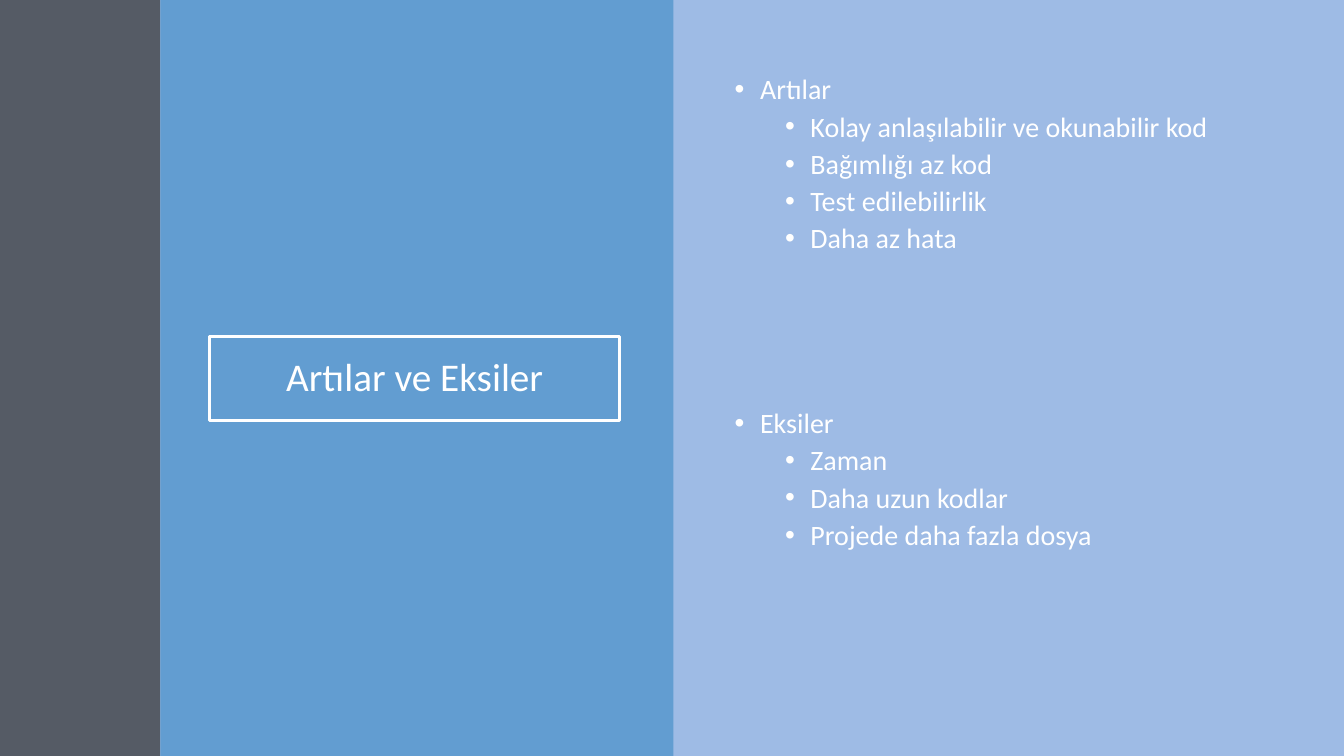
from dataclasses import dataclass

from lxml import etree
from pptx import Presentation
from pptx import util as u
from pptx.dml.color import RGBColor
from pptx.enum import shapes, text
from pptx.oxml.ns import qn

COLOURS = {
    "background": "ACCBF9",
    "shade": "000000",
    "title_panel": "629DD1",
    "sidebar": "404040",
    "text": "FFFFFF",
}
FONT = "Calibri"
SLIDE_WIDTH, SLIDE_HEIGHT = 33.87, 19.05
SIDEBAR_WIDTH, TITLE_PANEL_RIGHT = 4.04, 16.97


@dataclass
class Panel:
    left: float
    right: float
    colour: str
    opacity: int = 100


@dataclass
class Topic:
    top: float
    heading: str
    points: list[str]


PANELS = [
    Panel(SLIDE_WIDTH / 2, SLIDE_WIDTH, "shade", 8),
    Panel(SIDEBAR_WIDTH, TITLE_PANEL_RIGHT, "title_panel"),
    Panel(0, SIDEBAR_WIDTH, "sidebar", 80),
]
TOPICS = [
    Topic(1.78, "Artılar", ["Kolay anlaşılabilir ve okunabilir kod", "Bağımlığı az kod",
                            "Test edilebilirlik", "Daha az hata"]),
    Topic(10.19, "Eksiler", ["Zaman", "Daha uzun kodlar", "Projede daha fazla dosya"]),
]


def rgb(name: str) -> RGBColor:
    return RGBColor.from_string(COLOURS[name])


def draw_panel(slide, panel: Panel) -> None:
    band = slide.shapes.add_shape(
        shapes.MSO_SHAPE.RECTANGLE, u.Cm(panel.left), 0,
        u.Cm(panel.right - panel.left), u.Cm(SLIDE_HEIGHT))
    band.shadow.inherit = False
    band.line.fill.background()
    band.fill.solid()
    band.fill.fore_color.rgb = rgb(panel.colour)
    if panel.opacity < 100:
        colour = band.element.spPr.find(".//" + qn("a:srgbClr"))
        etree.SubElement(colour, qn("a:alpha"), val=str(panel.opacity * 1000))


def place(slide, holder, left: float, top: float, width: float, height: float) -> None:
    """Position a placeholder and bring it in front of the panels."""
    holder.left, holder.top = u.Cm(left), u.Cm(top)
    holder.width, holder.height = u.Cm(width), u.Cm(height)
    holder.text_frame.auto_size = text.MSO_AUTO_SIZE.NONE
    slide.shapes.element.append(holder.element)


def write(paragraph, words: str, *, size: int, align=text.PP_ALIGN.LEFT,
          before: int = 0, level: int = 0, indent: float | None = None) -> None:
    """Fill a paragraph; an indent in cm also gives it a hanging bullet."""
    paragraph.level = level
    paragraph.alignment = align
    paragraph.line_spacing = 0.9
    paragraph.space_before = u.Pt(before)
    run = paragraph.add_run()
    run.text = words
    run.font.name = FONT
    run.font.size = u.Pt(size)
    run.font.color.rgb = rgb("text")
    if indent is not None:
        properties = paragraph._p.get_or_add_pPr()
        properties.set("marL", str(u.Cm(indent)))
        properties.set("indent", str(-u.Cm(0.64)))
        etree.SubElement(properties, qn("a:buFont"), typeface="Arial")
        etree.SubElement(properties, qn("a:buChar"), char="•")


def fill_title(slide) -> None:
    title = slide.shapes.title
    place(slide, title, 5.28, 8.48, 10.34, 2.11)
    title.line.color.rgb = rgb("text")
    title.line.width = u.Pt(2)
    title.text_frame.vertical_anchor = text.MSO_ANCHOR.MIDDLE
    write(title.text_frame.paragraphs[0], "Artılar ve Eksiler",
          size=28, align=text.PP_ALIGN.CENTER)


def fill_topic(slide, holder, topic: Topic) -> None:
    place(slide, holder, 18.26, topic.top, 14.05, 7.09)
    frame = holder.text_frame
    write(frame.paragraphs[0], topic.heading, size=20, before=10, indent=0.64)
    for point in topic.points:
        write(frame.add_paragraph(), point, size=20, before=5, level=1, indent=1.91)


def main() -> None:
    deck = Presentation()
    deck.slide_width, deck.slide_height = u.Cm(SLIDE_WIDTH), u.Cm(SLIDE_HEIGHT)
    two_content = deck.slide_layouts.get_by_name("Two Content")
    slide = deck.slides.add_slide(two_content)
    slide.background.fill.solid()
    slide.background.fill.fore_color.rgb = rgb("background")

    bodies = [slide.placeholders[1], slide.placeholders[2]]
    for panel in PANELS:
        draw_panel(slide, panel)
    fill_title(slide)
    for holder, topic in zip(bodies, TOPICS):
        fill_topic(slide, holder, topic)
    deck.save("out.pptx")


if __name__ == "__main__":
    main()
